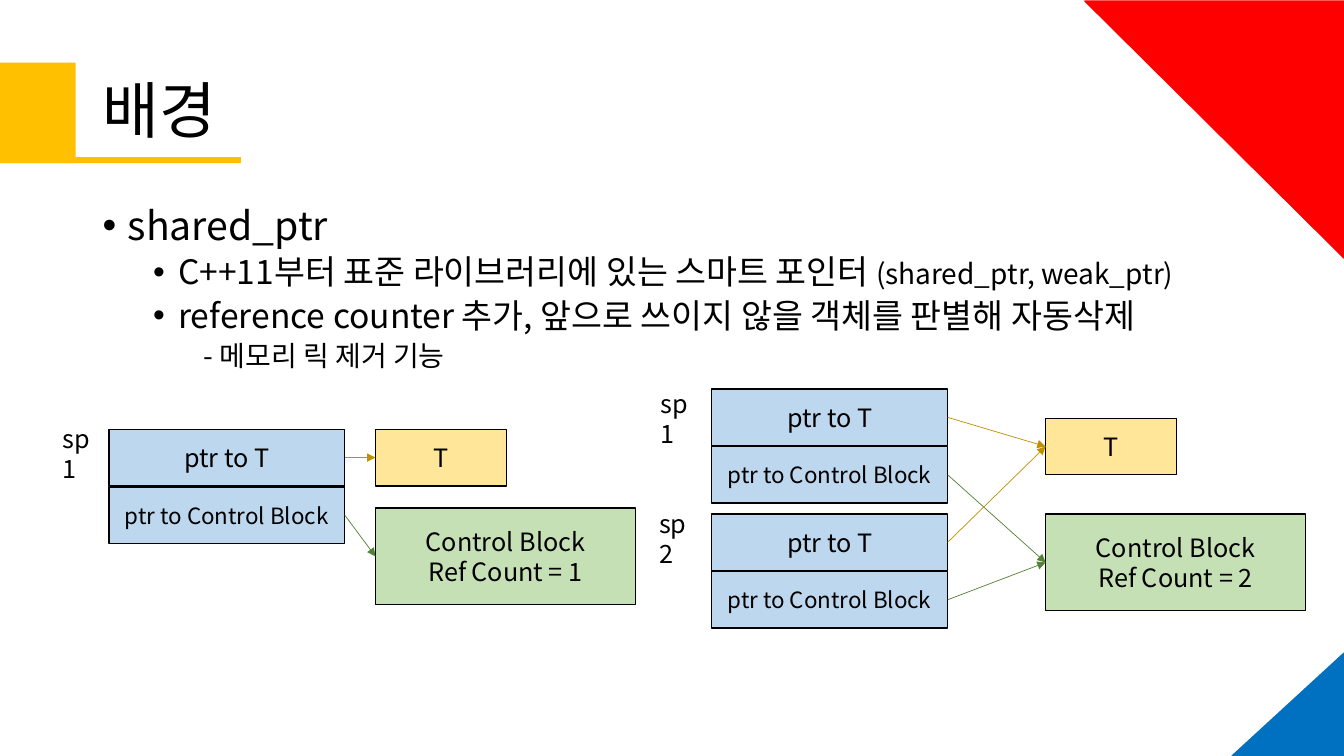
from lxml import etree
from pptx import Presentation
from pptx.dml.color import RGBColor
from pptx.enum.shapes import MSO_CONNECTOR, MSO_SHAPE
from pptx.enum.text import MSO_ANCHOR, MSO_AUTO_SIZE, PP_ALIGN
from pptx.oxml.ns import qn
from pptx.util import Inches, Pt

WIDTH, HEIGHT = Inches(13.33), Inches(7.5)
FONT = "Noto Sans CJK KR"
COLORS = {
    "text": "000000", "pointer": "BDD7EE", "object": "FFE699", "control": "C5E0B4",
    "object_arrow": "BF9000", "control_arrow": "548235",
    "accent": "FFC000", "blue": "0070C0", "red": "FF0000",
}
# Sizes in percent of the slide's width and height
POINTER_W, CELL_H, CELL_PITCH = 17.55, 7.47, 7.6
OBJECT_W, CONTROL_W, CONTROL_H = 9.75, 19.35, 12.8
LABEL_W, LABEL_H = 4.5, 5.33
RIGHT_SIDE, LEFT_SIDE = 3, 1  # connection sites of a rectangle

# level, bullet, [(text, size), ...]
BULLETS = [
    (0, True, [("shared_ptr", 28)]),
    (1, True, [("C++11부터 표준 라이브러리에 있는 스마트 포인터 ", 24),
               ("(shared_ptr, weak_ptr)", 20)]),
    (1, True, [("reference counter 추가, 앞으로 쓰이지 않을 객체를 판별해 자동삭제", 24)]),
    (2, False, [("- 메모리 릭 제거 기능", 20)]),
]
MARGINS = [0.25, 0.75, 1]


def rgb(name):
    """Look up a named colour."""
    return RGBColor.from_string(COLORS[name])


def area(x, y, w, h):
    """Turn percentages of the slide into left, top, width and height."""
    return [round(share * full / 100)
            for share, full in zip((x, y, w, h), (WIDTH, HEIGHT) * 2)]


def add_run(paragraph, text, size):
    """Add a run in the slide's font, for Latin and Korean alike."""
    run = paragraph.add_run()
    run.text = text
    run.font.size = Pt(size)
    run.font.name = FONT
    run.font.color.rgb = rgb("text")
    etree.SubElement(run.font._element, qn("a:ea"), typeface=FONT)


def add_block(shapes, place, fill, lines=(), size=18, outline="text",
              kind=MSO_SHAPE.RECTANGLE):
    """Add a filled shape with optional centred lines of text."""
    block = shapes.add_shape(kind, *area(*place))
    block.shadow.inherit = False
    block.fill.solid()
    block.fill.fore_color.rgb = rgb(fill)
    if outline:
        block.line.color.rgb = rgb(outline)
        block.line.width = Pt(1)
    else:
        block.line.fill.background()
    frame = block.text_frame
    frame.vertical_anchor = MSO_ANCHOR.MIDDLE
    for i, line in enumerate(lines):
        paragraph = frame.add_paragraph() if i else frame.paragraphs[0]
        paragraph.alignment = PP_ALIGN.CENTER
        add_run(paragraph, line, size)
    return block


def add_shared_pointer(slide, name, x, y, label_x, label_y):
    """Add a labelled pair of pointer cells and return the two cells."""
    shapes = slide.shapes.add_group_shape().shapes
    to_object = add_block(shapes, (x, y, POINTER_W, CELL_H), "pointer", ["ptr to T"])
    to_control = add_block(shapes, (x, y + CELL_PITCH, POINTER_W, CELL_H), "pointer",
                           ["ptr to Control Block"], size=16)
    label = shapes.add_textbox(*area(label_x, label_y, LABEL_W, LABEL_H)).text_frame
    label.word_wrap = True
    add_run(label.paragraphs[0], name, 18)
    return to_object, to_control


def add_arrow(slide, source, target, color):
    """Connect the right side of source to the left side of target."""
    arrow = slide.shapes.add_connector(MSO_CONNECTOR.STRAIGHT, 0, 0, 0, 0)
    arrow.begin_connect(source, RIGHT_SIDE)
    arrow.end_connect(target, LEFT_SIDE)
    arrow.line.color.rgb = rgb(color)
    arrow.line.width = Pt(0.5)
    etree.SubElement(arrow.line._get_or_add_ln(), qn("a:tailEnd"), type="triangle")
    etree.SubElement(arrow._element.spPr, qn("a:effectLst"))


def add_scene(slide, pointers, object_at, control_at):
    """Draw shared pointers, their object and their control block."""
    target = add_block(slide.shapes, (*object_at, OBJECT_W, CELL_H), "object", ["T"])
    control = add_block(slide.shapes, (*control_at, CONTROL_W, CONTROL_H), "control",
                        ["Control Block", f"Ref Count = {len(pointers)}"])
    for pointer in pointers:
        to_object, to_control = add_shared_pointer(slide, *pointer)
        add_arrow(slide, to_object, target, "object_arrow")
        add_arrow(slide, to_control, control, "control_arrow")


def add_title(slide, text):
    """Place and format the title placeholder."""
    title = slide.shapes.title
    title.left, title.top, title.width, title.height = area(6.9, 5.33, 86.27, 19.33)
    frame = title.text_frame
    frame.auto_size = MSO_AUTO_SIZE.NONE
    frame.vertical_anchor = MSO_ANCHOR.MIDDLE
    paragraph = frame.paragraphs[0]
    paragraph.alignment = PP_ALIGN.LEFT
    paragraph.line_spacing = 0.9
    add_run(paragraph, text, 44)


def add_bullets(slide):
    """Add the indented list of points."""
    frame = slide.shapes.add_textbox(*area(6.9, 26.67, 87.7, 63.47)).text_frame
    frame.word_wrap = True
    for i, (level, bulleted, runs) in enumerate(BULLETS):
        paragraph = frame.add_paragraph() if i else frame.paragraphs[0]
        paragraph.level = level
        paragraph.line_spacing = 0.9
        paragraph.space_before = Pt(5 if level else 10)
        props = paragraph._p.get_or_add_pPr()
        props.set("marL", str(Inches(MARGINS[level])))
        props.set("indent", str(Inches(-0.25 if bulleted else 0)))
        if bulleted:
            etree.SubElement(props, qn("a:buFont"), typeface="Arial")
            etree.SubElement(props, qn("a:buChar"), char="•")
        else:
            etree.SubElement(props, qn("a:buNone"))
        for text, size in runs:
            add_run(paragraph, text, size)


def add_corner(slide, place, color, rotation=0):
    """Add a right-angled triangle in a corner of the slide."""
    corner = add_block(slide.shapes, place, color, outline=color,
                       kind=MSO_SHAPE.ISOSCELES_TRIANGLE)
    corner.adjustments[0] = 1
    corner.rotation = rotation


def add_decoration(slide):
    """Add the title's accent bars and the coloured corners."""
    accent = slide.shapes.add_group_shape().shapes
    for place in [(0, 8.27, 5.63, 13.33), (0, 20.8, 17.93, 0.8)]:
        add_block(accent, place, "accent", outline=None)
    add_corner(slide, (91.67, 86.4, 8.33, 13.6), "blue")
    add_corner(slide, (80.8, 0, 19.13, 34.27), "red", rotation=270)


def main():
    """Build the slide and save it."""
    deck = Presentation()
    deck.slide_width, deck.slide_height = WIDTH, HEIGHT
    slide = deck.slides.add_slide(deck.slide_layouts.get_by_name("Title Only"))
    add_title(slide, "배경")
    add_bullets(slide)
    add_scene(slide, [("sp1", 8.1, 56.8, 3.9, 55.33)], (27.94, 56.8), (27.94, 67.2))
    add_scene(slide, [("sp1", 52.96, 51.47, 48.39, 50.67),
                      ("sp2", 52.96, 68, 48.31, 66.53)], (77.8, 55.33), (77.8, 68))
    add_decoration(slide)
    deck.save("out.pptx")


if __name__ == "__main__":
    main()
